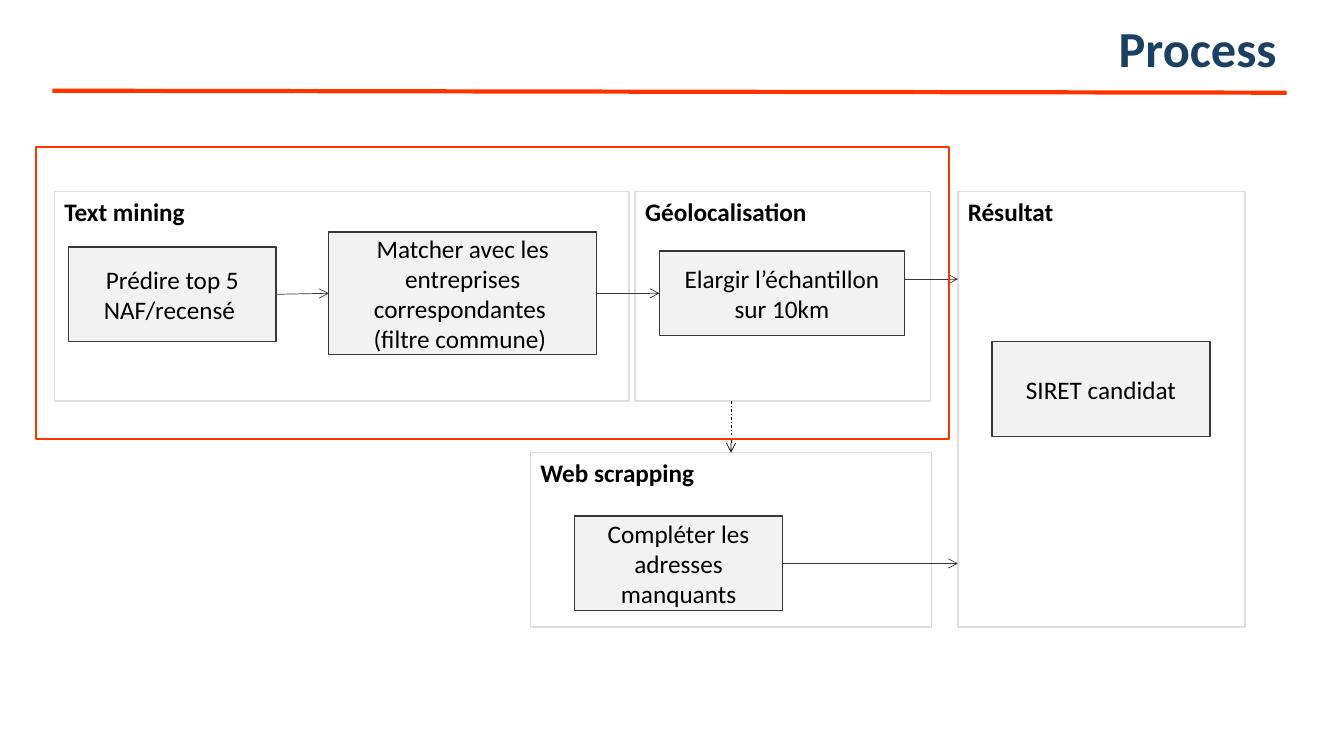
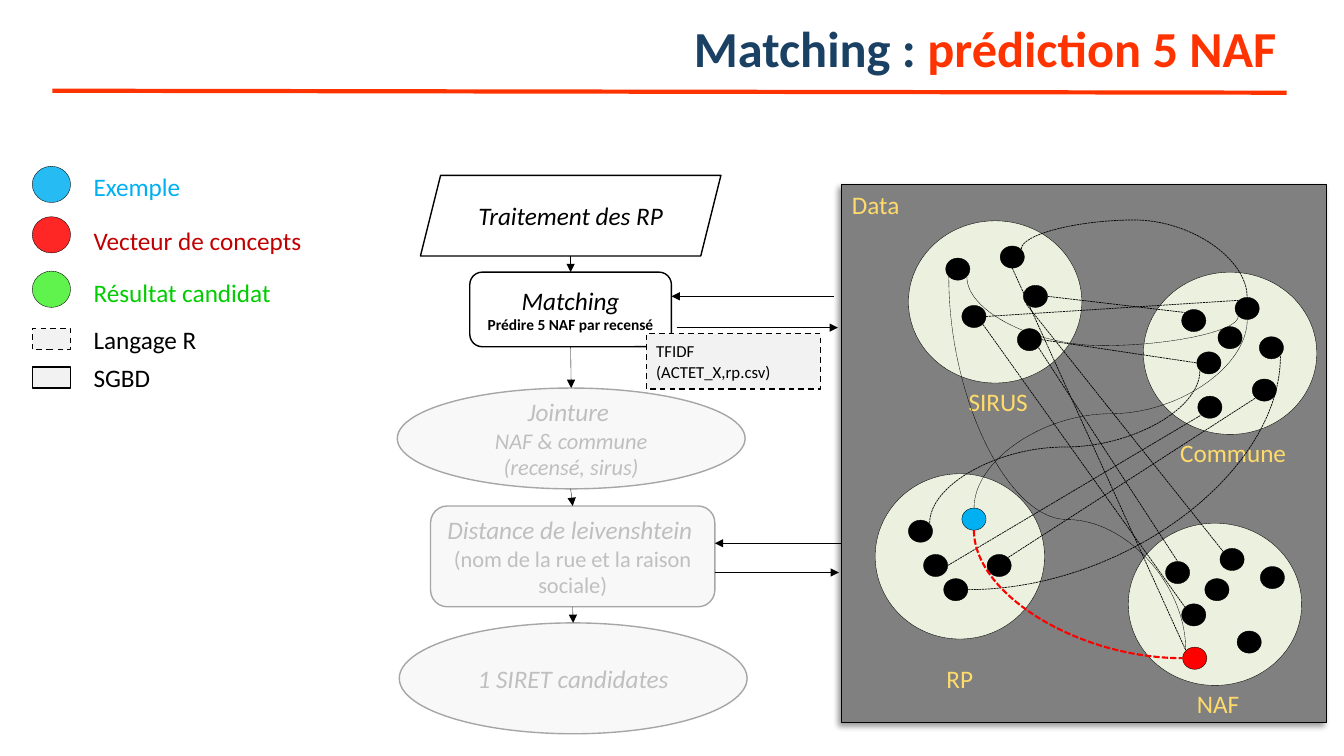
from lxml.etree import SubElement
from pptx import Presentation
from pptx.dml.color import RGBColor
from pptx.enum.dml import MSO_LINE as Dash
from pptx.enum.shapes import MSO_CONNECTOR as Connector, MSO_SHAPE as Preset
from pptx.enum.text import MSO_ANCHOR as Anchor, PP_ALIGN as Align
from pptx.oxml.ns import qn
from pptx.util import Inches, Pt

FONT = "Calibri"
BLACK = RGBColor(0x00, 0x00, 0x00)
WHITE = RGBColor(0xFF, 0xFF, 0xFF)
NAVY = RGBColor(0x1A, 0x41, 0x64)
ORANGE = RGBColor(0xFF, 0x33, 0x00)
CHARCOAL = RGBColor(0x37, 0x37, 0x37)
PANEL_LINE = RGBColor(0xDD, 0xDD, 0xDD)
LIGHT_GREY = RGBColor(0xF2, 0xF2, 0xF2)
FADED_FILL = RGBColor(0xF8, 0xF8, 0xF8)
FADED_LINE = RGBColor(0xA6, 0xA6, 0xA6)
FADED_TEXT = RGBColor(0xBF, 0xBF, 0xBF)
DATA_GREY = RGBColor(0x80, 0x80, 0x80)
CLUSTER_GREEN = RGBColor(0xEB, 0xF1, 0xDE)
YELLOW = RGBColor(0xFE, 0xDB, 0x6A)
SKY = RGBColor(0x00, 0xB0, 0xF0)
RED = RGBColor(0xFF, 0x00, 0x00)
DARK_RED = RGBColor(0xC0, 0x00, 0x00)
LIME = RGBColor(0x45, 0xF2, 0x2E)
GREEN = RGBColor(0x00, 0xCC, 0x00)

DOT_WIDTH, DOT_HEIGHT = 0.24, 0.22
SITES = {
    "T": (0.12, 0), "TL": (0.03, 0.03), "L": (0, 0.11), "BL": (0.03, 0.19),
    "B": (0.12, 0.22), "BR": (0.21, 0.19), "R": (0.24, 0.11), "TR": (0.21, 0.03),
}


def format_runs(paragraph, size, color, bold=False, italic=False):
    for run in paragraph.runs:
        run.font.name = FONT
        run.font.size = Pt(size)
        run.font.color.rgb = color
        run.font.bold = bold
        run.font.italic = italic


def write(shape, text, size=18, color=BLACK, bold=False, italic=False,
          align=Align.LEFT, anchor=Anchor.TOP, wrap=True):
    text_frame = shape.text_frame
    text_frame.text = text
    text_frame.word_wrap = wrap
    text_frame.vertical_anchor = anchor
    for paragraph in text_frame.paragraphs:
        paragraph.alignment = align
        format_runs(paragraph, size, color, bold, italic)
    return text_frame.paragraphs


def add_box(shapes, preset, box, fill, line, width=1, dash=None):
    shape = shapes.add_shape(preset, *map(Inches, box))
    shape.shadow.inherit = False
    if fill is None:
        shape.fill.background()
    else:
        shape.fill.solid()
        shape.fill.fore_color.rgb = fill
    shape.line.color.rgb = line
    shape.line.width = Pt(width)
    if dash:
        shape.line.dash_style = dash
    return shape


def add_label(shapes, box, text, color, **style):
    label = shapes.add_textbox(*map(Inches, box))
    write(label, text, color=color, **style)


def add_line(slide, start, end, color=BLACK, width=0.5, dash=None, head=None,
             kind=Connector.STRAIGHT):
    line = slide.shapes.add_connector(kind, *map(Inches, (*start, *end)))
    line.line.color.rgb = color
    line.line.width = Pt(width)
    if dash:
        line.line.dash_style = dash
    properties = line._element.spPr
    if head:
        SubElement(properties.find(qn("a:ln")), qn("a:tailEnd"), type=head)
    SubElement(properties, qn("a:effectLst"))
    return line


def add_curve(slide, start, end, color, width, bend, sideways):
    curve = add_line(slide, start, end, color, width, Dash.SQUARE_DOT, kind=Connector.CURVE)
    geometry = curve._element.spPr.find(qn("a:prstGeom"))
    if bend is None:
        geometry.set("prst", "curvedConnector2")
    else:
        guides = geometry.find(qn("a:avLst"))
        SubElement(guides, qn("a:gd"), name="adj1", fmla=f"val {round(bend * 100000)}")
    if sideways:
        return
    (x1, y1), (x2, y2) = start, end
    width_in, height_in = abs(y2 - y1), abs(x2 - x1)
    curve.left = Inches((x1 + x2 - width_in) / 2)
    curve.top = Inches((y1 + y2 - height_in) / 2)
    curve.width, curve.height = Inches(width_in), Inches(height_in)
    upward = y2 < y1
    frame = curve._element.spPr.find(qn("a:xfrm"))
    frame.set("rot", str((90 if upward else 270) * 60000))
    frame.set("flipH", "1")
    frame.set("flipV", "1" if upward else "0")


def add_header(slide, *parts):
    add_line(slide, (0.52, 0.9), (12.76, 0.92), ORANGE, 3)
    title = slide.shapes.add_textbox(*map(Inches, (0.52, 0.09, 12.24, 0.83)))
    title.text_frame.word_wrap = True
    title.text_frame.vertical_anchor = Anchor.MIDDLE
    paragraph = title.text_frame.paragraphs[0]
    paragraph.alignment = Align.RIGHT
    paragraph.line_spacing = 0.9
    for text, _ in parts:
        paragraph.add_run().text = text
    format_runs(paragraph, 36, NAVY, bold=True)
    for run, (_, color) in zip(paragraph.runs, parts):
        run.font.color.rgb = color


def add_panel(slide, box, heading, steps):
    panel = add_box(slide.shapes, Preset.RECTANGLE, box, WHITE, PANEL_LINE)
    write(panel, heading, bold=True)
    step_shapes = []
    for (dx, dy, width, height), text in steps:
        step = add_box(slide.shapes, Preset.RECTANGLE,
                       (box[0] + dx, box[1] + dy, width, height), LIGHT_GREY, CHARCOAL)
        write(step, text, align=Align.CENTER, anchor=Anchor.MIDDLE)
        step_shapes.append(step)
    return panel, step_shapes


def build_process(slide):
    add_header(slide, ("Process", NAVY))
    add_panel(slide, (9.5, 1.9, 2.85, 4.32), "Résultat",
              [((0.34, 1.49, 2.16, 0.94), "SIRET candidat")])
    _, (predict, match) = add_panel(slide, (0.54, 1.9, 5.7, 2.08), "Text mining", [
        ((0.14, 0.55, 2.06, 0.94), "Prédire top 5 NAF/recensé "),
        ((2.72, 0.4, 2.66, 1.22),
         "Matcher avec les entreprises correspondantes \n(filtre commune) "),
    ])
    _, (widen,) = add_panel(slide, (6.3, 1.9, 2.93, 2.08), "Géolocalisation",
                            [((0.24, 0.59, 2.43, 0.84), "Elargir l’échantillon sur 10km")])
    scraping, (complete,) = add_panel(slide, (5.26, 4.49, 3.98, 1.73), "Web scrapping", [
        ((0.44, 0.63, 2.06, 0.94), "Compléter les adresses manquants")])
    for start, end, source, target in [
        ((2.74, 2.92), (3.26, 2.91), predict, match),
        ((5.92, 2.91), (6.54, 2.91), match, widen),
        ((8.97, 2.77), (9.5, 2.77), None, None),
        ((7.76, 5.59), (9.5, 5.59), complete, None),
    ]:
        arrow = add_line(slide, start, end, CHARCOAL, head="arrow")
        if source:
            arrow.begin_connect(source, 3)
        if target:
            arrow.end_connect(target, 1)
    arrow = add_line(slide, (7.25, 3.98), (7.25, 4.49), dash=Dash.DASH_DOT, head="arrow")
    arrow.end_connect(scraping, 0)
    add_box(slide.shapes, Preset.RECTANGLE, (0.36, 1.46, 9.05, 2.9), None, ORANGE, 1.5)


def add_legend(slide, left, top):
    for dy, fill, text_dy, text, color in [
        (0, SKY, 0, "Exemple", SKY),
        (0.5, RED, 0.54, "Vecteur de concepts", DARK_RED),
        (1.04, LIME, 1.05, "Résultat candidat", GREEN),
    ]:
        key = add_box(slide.shapes, Preset.OVAL, (left, top + dy, 0.38, 0.36),
                      fill, BLACK, 0.25)
        color_element = key._element.spPr.find(qn("a:solidFill"))[0]
        SubElement(color_element, qn("a:alpha"), val="85000")
        add_label(slide.shapes, (left + 0.51, top + text_dy, 4.03, 0.4), text, color)
    for dy, dash, text in [(1.61, Dash.DASH, "Langage R"), (1.99, None, "SGBD")]:
        add_box(slide.shapes, Preset.RECTANGLE, (left, top + dy, 0.38, 0.21),
                LIGHT_GREY, BLACK, 1, dash)
        add_label(slide.shapes, (left + 0.51, top + dy - 0.09, 1.24, 0.4), text, BLACK,
                  wrap=False)


def add_flow(slide, left, top):
    stages = []
    for preset, (dx, dy, width, height), text, detail_size, active in [
        (Preset.PARALLELOGRAM, (0.23, 0, 2.98, 0.8), "Traitement des RP", 18, True),
        (Preset.ROUNDED_RECTANGLE, (0.72, 0.96, 2, 0.74),
         "Matching\nPrédire 5 NAF par recensé", 11, True),
        (Preset.OVAL, (0, 2.11, 3.45, 1), "Jointure \nNAF & commune\n(recensé, sirus)", 16, False),
        (Preset.ROUNDED_RECTANGLE, (0.33, 3.28, 2.82, 1),
         "Distance de leivenshtein \n(nom de la rue et la raison sociale)", 16, False),
        (Preset.OVAL, (0.02, 4.44, 3.45, 1.1), "1 SIRET candidates", 18, False),
    ]:
        fill, line, color = ((WHITE, BLACK, BLACK) if active
                             else (FADED_FILL, FADED_LINE, FADED_TEXT))
        stage = add_box(slide.shapes, preset, (left + dx, top + dy, width, height), fill, line)
        paragraphs = write(stage, text, color=color, italic=True,
                           align=Align.CENTER, anchor=Anchor.MIDDLE)
        for paragraph in paragraphs[1:]:
            format_runs(paragraph, detail_size, color, bold=active,
                        italic=preset == Preset.OVAL)
        stages.append(stage)
    center = left + 1.72
    for index, (dy, end_dy) in enumerate([(0.8, 0.96), (1.7, 2.11), (3.11, 3.28), (4.28, 4.44)]):
        arrow = add_line(slide, (center, top + dy), (center, top + end_dy),
                         width=0.25, head="triangle")
        if index % 2:
            arrow.begin_connect(stages[index], 2)
        arrow.end_connect(stages[index + 1], 0)
    for start_dx, end_dx, dy in [(4.33, 2.72, 1.2), (2.77, 4.37, 1.51),
                                 (4.41, 3.15, 3.65), (3.15, 4.38, 3.94)]:
        add_line(slide, (left + start_dx, top + dy), (left + end_dx, top + dy), head="triangle")
    script = add_box(slide.shapes, Preset.RECTANGLE, (left + 2.47, top + 1.57, 1.73, 0.55),
                     LIGHT_GREY, BLACK, 1, Dash.DASH)
    write(script, "TFIDF (ACTET_X,rp.csv)", size=12, anchor=Anchor.MIDDLE)


def add_cluster(slide, box, name, label_offset, dots, highlights):
    left, top = box[:2]
    shapes = slide.shapes.add_group_shape().shapes
    add_label(shapes, (left + label_offset[0], top + label_offset[1], 1.72, 0.4),
              name, YELLOW, align=Align.CENTER)
    add_box(shapes, Preset.OVAL, box, CLUSTER_GREEN, BLACK, 0.25)
    corners = [(left + dx, top + dy) for dx, dy in dots]
    for index, corner in enumerate(corners):
        add_box(shapes, Preset.OVAL, (*corner, DOT_WIDTH, DOT_HEIGHT),
                highlights.get(index, BLACK), BLACK, 0.25)
    return corners


def add_data(slide, left, top):
    panel = add_box(slide.shapes, Preset.RECTANGLE, (left, top, 4.81, 5.34),
                    DATA_GREY, BLACK, 0.75)
    write(panel, "Data", color=YELLOW)
    shadow = SubElement(panel._element.spPr.find(qn("a:effectLst")), qn("a:outerShdw"),
                        blurRad=str(Pt(4)), dist=str(Pt(3)), dir=str(135 * 60000),
                        algn="tr", rotWithShape="0")
    shadow_color = SubElement(shadow, qn("a:srgbClr"), val=str(BLACK))
    SubElement(shadow_color, qn("a:alpha"), val="40000")

    dots = {}
    for name, (dx, dy, width, height), label_offset, offsets, highlights in [
        ("SIRUS", (0.66, 0.36, 1.72, 1.61), (0.03, 1.59),
         [(1.08, 1.07), (0.37, 0.37), (0.91, 0.25), (1.14, 0.64), (0.53, 0.84)], {}),
        ("NAF", (2.84, 3.36, 1.72, 1.61), (0.03, 1.59),
         [(0.54, 1.23), (1.08, 1.07), (0.53, 0.8), (0.37, 0.38), (0.91, 0.25),
          (1.31, 0.43), (0.76, 0.55)], {0: RED}),
        ("Commune", (2.99, 0.87, 1.72, 1.61), (0.03, 1.59),
         [(0.54, 1.23), (1.08, 1.06), (0.53, 0.79), (0.38, 0.37), (0.91, 0.25),
          (1.15, 0.64), (0.74, 0.54)], {}),
        ("RP", (0.33, 2.87, 1.68, 1.64), (-0.02, 1.83),
         [(0.68, 1.04), (1.11, 0.8), (0.48, 0.8), (0.33, 0.46), (0.86, 0.34)], {4: SKY}),
    ]:
        dots[name] = add_cluster(slide, (left + dx, top + dy, width, height), name,
                                 label_offset, offsets, highlights)

    def site(name, index, side):
        x, y = dots[name][index]
        dx, dy = SITES[side]
        return x + dx, y + dy

    for source, target in [
        (("SIRUS", 3, "R"), ("Commune", 3, "TL")),
        (("SIRUS", 0, "R"), ("Commune", 2, "L")),
        (("SIRUS", 0, "BR"), ("NAF", 3, "T")),
        (("SIRUS", 3, "BL"), ("NAF", 4, "TL")),
        (("SIRUS", 4, "BR"), ("NAF", 2, "TL")),
        (("SIRUS", 4, "R"), ("Commune", 4, "TL")),
        (("SIRUS", 2, "B"), ("NAF", 0, "TL")),
        (("RP", 2, "R"), ("Commune", 0, "BL")),
        (("RP", 1, "TR"), ("Commune", 1, "BL")),
    ]:
        add_line(slide, site(*source), site(*target), dash=Dash.SQUARE_DOT)
    for source, target, color, width, bend in [
        (("SIRUS", 2, "TR"), ("Commune", 4, "T"), BLACK, 0.5, -0.6),
        (("RP", 0, "R"), ("Commune", 5, "BR"), BLACK, 0.5, None),
        (("RP", 3, "TR"), ("Commune", 2, "BL"), BLACK, 0.5, 0.5),
        (("RP", 4, "T"), ("Commune", 4, "B"), BLACK, 0.25, 0.5),
        (("RP", 4, "B"), ("NAF", 0, "L"), RED, 1.5, None),
        (("SIRUS", 1, "BR"), ("Commune", 4, "BL"), BLACK, 0.25, 1.74),
        (("SIRUS", 1, "BL"), ("NAF", 0, "TL"), BLACK, 0.25, 0.65),
    ]:
        add_curve(slide, site(*source), site(*target), color, width, bend,
                  sideways=source[2] == "R")


def build_matching(slide):
    add_header(slide, ("Matching : ", NAVY), ("prédiction 5 NAF", ORANGE))
    add_flow(slide, 3.94, 1.74)
    add_legend(slide, 0.32, 1.65)
    add_data(slide, 8.35, 1.83)


def main():
    presentation = Presentation()
    presentation.slide_width = Inches(13.33)
    presentation.slide_height = Inches(7.5)
    for build in (build_process, build_matching):
        build(presentation.slides.add_slide(presentation.slide_layouts[6]))
    presentation.save("out.pptx")


if __name__ == "__main__":
    main()
